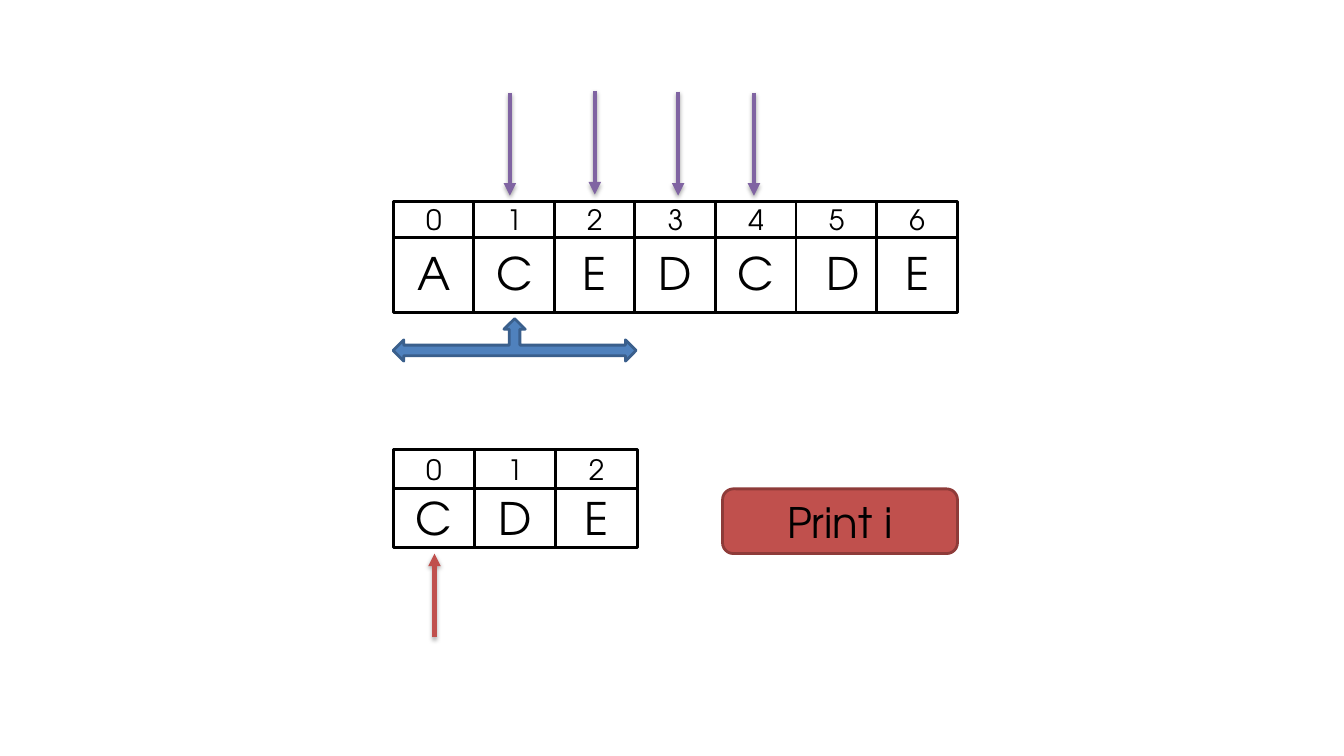
from lxml.etree import SubElement
from pptx import Presentation
from pptx.dml.color import RGBColor
from pptx.enum.shapes import MSO_CONNECTOR, MSO_SHAPE
from pptx.enum.text import MSO_ANCHOR, PP_ALIGN
from pptx.oxml.ns import qn
from pptx.util import Cm, Pt

# Content: lengths in cm
FONT = "TeX Gyre Adventor"
BLACK, WHITE = "000000", "FFFFFF"
BLUE, PURPLE, RED = "4F81BD", "8064A2", "C0504D"
LEFT, CELL_W = 9.91, 2.05

ARRAYS = [
    {"letters": ["A", "C", "E", "D", "C", " D", "E"], "pitch": 2.03,
     "letter_row": (5.89, 1.98), "index_row": (5.08, 0.91)},
    {"letters": ["C", "D", "E"], "pitch": 2.05,
     "letter_row": (12.32, 1.47), "index_row": (11.33, 0.99)},
]
# x, start y, end y, colour
POINTERS = [
    (12.85, 2.34, 4.93, PURPLE),
    (14.99, 2.29, 4.9, PURPLE),
    (17.09, 2.31, 4.93, PURPLE),
    (19, 2.34, 4.93, PURPLE),
    (10.95, 16.06, 13.95, RED),
]


def rgb(value):
    return RGBColor.from_string(value)


def write(sp, text, size, font=FONT, color=BLACK):
    tf = sp.text_frame
    tf.word_wrap = True
    tf.vertical_anchor = MSO_ANCHOR.MIDDLE
    p = tf.paragraphs[0]
    p.alignment = PP_ALIGN.CENTER
    r = p.add_run()
    r.text = text
    r.font.name, r.font.size = font, Pt(size)
    r.font.color.rgb = rgb(color)


def add_box(shapes, kind, x, y, w, h, fill, line):
    sp = shapes.add_shape(kind, Cm(x), Cm(y), Cm(w), Cm(h))
    sp.shadow.inherit = False
    sp.fill.solid()
    sp.fill.fore_color.rgb = rgb(fill)
    sp.line.color.rgb = rgb(line)
    sp.line.width = Pt(2)
    return sp


def add_row(shapes, texts, pitch, top, height, size):
    for i, text in enumerate(texts):
        sp = add_box(shapes, MSO_SHAPE.RECTANGLE, LEFT + i * pitch, top,
                     CELL_W, height, WHITE, BLACK)
        write(sp, text, size)


def add_pointer(shapes, x, start, end, color):
    line = shapes.add_connector(MSO_CONNECTOR.STRAIGHT,
                                Cm(x), Cm(start), Cm(x), Cm(end))
    line.line.color.rgb = rgb(color)
    line.line.width = Pt(3)
    SubElement(line.line._get_or_add_ln(), qn("a:tailEnd"), type="triangle")
    # Soft shadow straight below
    effects = SubElement(line._element.spPr, qn("a:effectLst"))
    shadow = SubElement(effects, qn("a:outerShdw"), blurRad=str(Pt(3.1)),
                        dist=str(Pt(1.8)), dir="5400000", rotWithShape="0")
    tone = SubElement(shadow, qn("a:srgbClr"), val=BLACK)
    SubElement(tone, qn("a:alpha"), val="35000")


def main():
    prs = Presentation()
    prs.slide_width, prs.slide_height = Cm(33.87), Cm(19.05)
    s = prs.slides.add_slide(prs.slide_layouts[6])

    # Arrays: letters with their indices above
    for array in ARRAYS:
        shapes = s.shapes.add_group_shape().shapes
        letters, pitch = array["letters"], array["pitch"]
        indices = [str(i) for i in range(len(letters))]
        add_row(shapes, letters, pitch, *array["letter_row"], size=32)
        add_row(shapes, indices, pitch, *array["index_row"], size=20)

    # Window over the first three letters
    add_box(s.shapes, MSO_SHAPE.LEFT_RIGHT_UP_ARROW, LEFT, 8.03, 6.12, 1.07,
            BLUE, "3A5F8C")

    # Pointers
    for pointer in POINTERS:
        add_pointer(s.shapes, *pointer)

    # Action
    action = add_box(s.shapes, MSO_SHAPE.FLOWCHART_ALTERNATE_PROCESS,
                     18.21, 12.32, 5.92, 1.63, RED, "8E3B39")
    write(action, "Print i", 30)

    prs.save("out.pptx")


if __name__ == "__main__":
    main()
